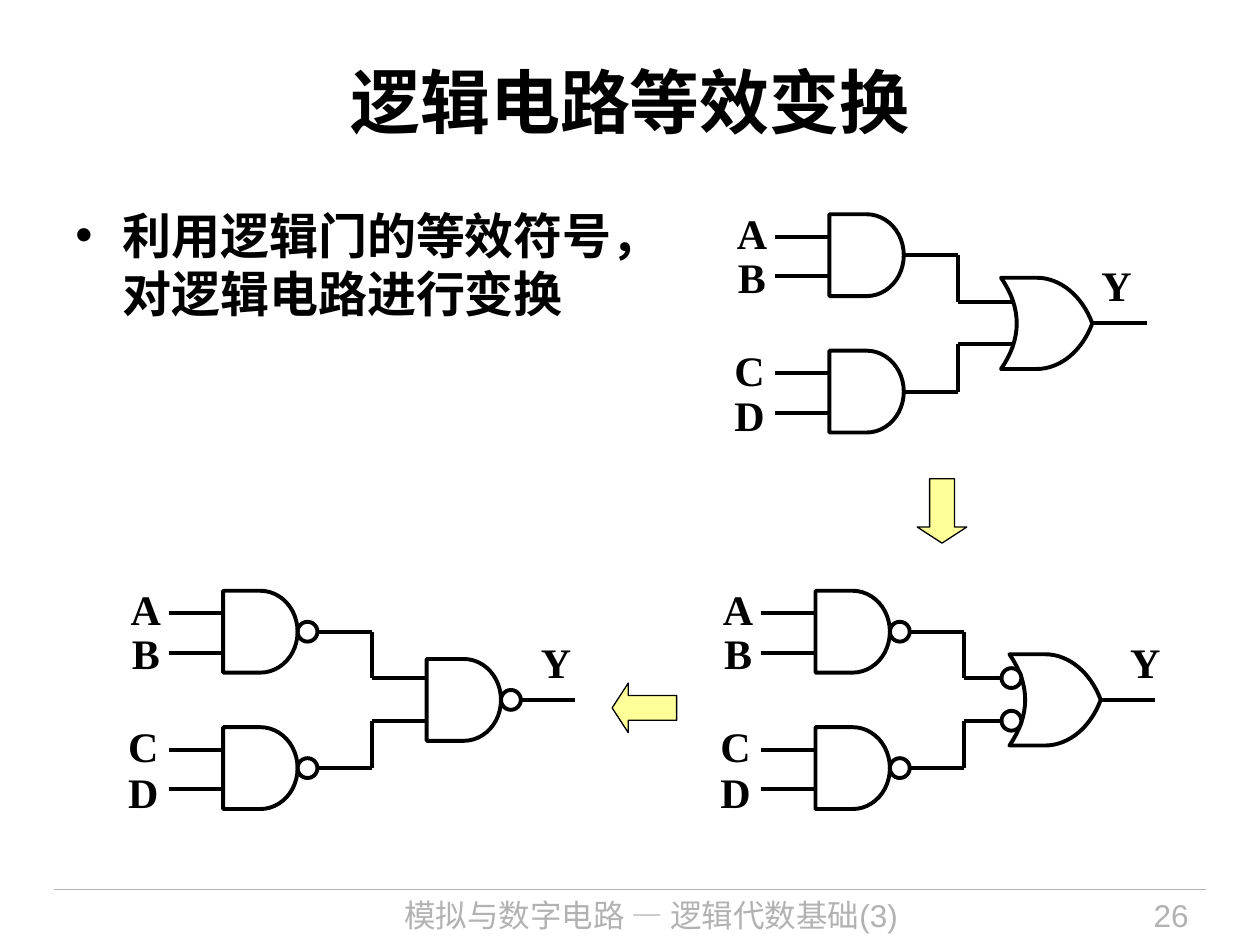
import lxml.etree
import pptx
import pptx.dml.color
import pptx.enum.shapes
import pptx.enum.text
import pptx.oxml.ns
import pptx.util

Cm = pptx.util.Cm
Pt = pptx.util.Pt
MSO = pptx.enum.shapes.MSO_SHAPE
ALIGN = pptx.enum.text.PP_ALIGN
ANCHOR = pptx.enum.text.MSO_ANCHOR

GATE_W, GATE_H = 1.5, 1.65
LEAD = 1.1
BUBBLE = 0.4
PITCH = 2.75
INPUT_YS = (0.45, 1.25)
JOIN_YS = (1.76, 2.62)
OUT_Y = 2.2
LABELS = (("A", -0.84, -0.03), ("B", -0.84, 0.86),
          ("C", -0.89, 2.74), ("D", -0.89, 3.65))
LABEL_FONT = {"name": "Times New Roman", "size": Pt(24), "bold": True}


def rgb(value):
    return pptx.dml.color.RGBColor.from_string(value)


def style(sp, fill=None, line="000000", width=2.25):
    sp.shadow.inherit = False
    if fill:
        sp.fill.solid()
        sp.fill.fore_color.rgb = rgb(fill)
    else:
        sp.fill.background()
    sp.line.color.rgb = rgb(line)
    sp.line.width = Pt(width)


def shape(shapes, kind, x, y, w, h, **look):
    sp = shapes.add_shape(kind, Cm(x), Cm(y), Cm(w), Cm(h))
    style(sp, **look)
    return sp


def wire(shapes, x1, y1, x2, y2, color="000000", width=2.25):
    c = shapes.add_connector(pptx.enum.shapes.MSO_CONNECTOR.STRAIGHT,
                             Cm(x1), Cm(y1), Cm(x2), Cm(y2))
    c.line.color.rgb = rgb(color)
    c.line.width = Pt(width)
    lxml.etree.SubElement(c._element.spPr, pptx.oxml.ns.qn("a:effectLst"))
    return c


def write(p, text, color, font, **para):
    for key, value in para.items():
        setattr(p, key, value)
    r = p.add_run()
    r.text = text
    for key, value in font.items():
        setattr(r.font, key, value)
    r.font.color.rgb = rgb(color)


def text_box(shapes, x, y, w, h, inset=None):
    tf = shapes.add_textbox(Cm(x), Cm(y), Cm(w), Cm(h)).text_frame
    tf.word_wrap = True
    if inset is not None:
        for side in ("left", "top", "right", "bottom"):
            setattr(tf, f"margin_{side}", Cm(inset))
    return tf.paragraphs[0]


def label(shapes, text, x, y):
    p = text_box(shapes, x, y, 0.76, 0.91, inset=0)
    write(p, text, "000000", LABEL_FONT, alignment=ALIGN.CENTER, line_spacing=0.9)


def curve(points, steps=16):
    for i in range(steps + 1):
        t = i / steps
        weights = ((1 - t) ** 3, 3 * t * (1 - t) ** 2, 3 * t * t * (1 - t), t ** 3)
        yield tuple(sum(k * pt[axis] for k, pt in zip(weights, points))
                    for axis in (0, 1))


def or_gate(shapes, x, y, w, h):
    upper = [(0.39, 0), (0.65, 0), (0.89, 0.2), (1, 0.5)]
    lower = [(px, 1 - py) for px, py in reversed(upper)]
    back = [(0, 1), (0.23, 0.67), (0.23, 0.33), (0, 0)]
    outline = [(Cm(x + px * w), Cm(y + py * h))
               for part in (upper, lower, back) for px, py in curve(part)]
    fb = shapes.build_freeform(*outline[0])
    fb.add_line_segments(outline[1:], close=True)
    style(fb.convert_to_shape())


def bubble(shapes, x, y, fill=None):
    shape(shapes, MSO.OVAL, x, y - BUBBLE / 2, BUBBLE, BUBBLE, fill=fill)


def and_gate(shapes, x, y, inverted):
    sp = shape(shapes, MSO.FLOWCHART_DELAY, x, y, GATE_W, GATE_H)
    if inverted:
        bubble(shapes, x + GATE_W, y + GATE_H / 2)
    return sp


def circuit(slide, x, y, inverted, final):
    shapes = slide.shapes.add_group_shape().shapes
    out_x = x + LEAD + GATE_W + (BUBBLE if inverted else 0)
    mid_x = out_x + LEAD
    for row, join_y in enumerate(JOIN_YS):
        top = y + row * PITCH
        gate = and_gate(shapes, x + LEAD, top, inverted)
        for dy in INPUT_YS:
            wire(shapes, x, top + dy, x + LEAD, top + dy)
        gate_y = top + GATE_H / 2
        out = wire(shapes, out_x, gate_y, mid_x, gate_y)
        if not inverted:
            out.begin_connect(gate, 3)
        wire(shapes, mid_x, gate_y, mid_x, y + join_y)
        wire(shapes, mid_x, y + join_y, mid_x + LEAD, y + join_y)

    if final == "nand":
        and_gate(shapes, mid_x + LEAD, y + OUT_Y - GATE_H / 2, True)
        tip, y_shift = mid_x + LEAD + GATE_W + BUBBLE, -0.31
    else:
        left, w, h = mid_x + (0.91 if inverted else 0.86), 1.84, 1.84
        or_gate(shapes, left, y + OUT_Y - h / 2, w, h)
        tip, y_shift = left + w, -0.53 if inverted else -0.94
        if inverted:
            for join_y in JOIN_YS:
                bubble(shapes, left - 0.16, y + join_y, fill="FFFFFF")
    wire(shapes, tip, y + OUT_Y, tip + LEAD, y + OUT_Y)
    for name, dx, dy in LABELS:
        label(shapes, name, x + dx, y + dy)
    label(shapes, "Y", tip + LEAD + y_shift - 0.46 if final == "nand" else tip + LEAD + y_shift - 0.05, y + 1.03)


def arrow(slide, x, y, rotation):
    sp = shape(slide.shapes, MSO.RIGHT_ARROW, x, y, 1.3, 1, fill="FFFF99", width=0.75)
    sp.adjustments[1] = 0.325
    sp.rotation = rotation


def title(slide, x, y, w, h):
    sp = slide.shapes.title
    box = {"left": x, "top": y, "width": w, "height": h}
    for key, value in box.items():
        setattr(sp, key, Cm(value))
    sp.text_frame.vertical_anchor = ANCHOR.MIDDLE
    write(sp.text_frame.paragraphs[0], "逻辑电路等效变换", "000000",
          {"name": "Arial", "size": Pt(40), "bold": True}, alignment=ALIGN.CENTER)


def body(slide, x, y, w, h):
    p = text_box(slide.shapes, x, y, w, h)
    pPr = p._p.get_or_add_pPr()
    pPr.set("marL", str(Cm(0.95)))
    pPr.set("indent", str(-Cm(0.95)))
    for tag, key, value in (("a:buFont", "typeface", "Arial"), ("a:buChar", "char", "•")):
        lxml.etree.SubElement(pPr, pptx.oxml.ns.qn(tag)).set(key, value)
    write(p, "利用逻辑门的等效符号，对逻辑电路进行变换", "000000",
          {"name": "Arial", "size": Pt(28), "bold": True}, space_after=Pt(7))


def footer(slide, x, y, w):
    wire(slide.shapes, x, y, x + w, y, color="B2B2B2", width=0.75)
    font = {"name": "Arial", "size": Pt(18)}
    for text, dx, width, align in (
            ("模拟与数字电路 — 逻辑代数基础(3)", 5.23, 13.61, ALIGN.CENTER),
            ("26", 19.74, 3.38, ALIGN.RIGHT)):
        write(text_box(slide.shapes, x + dx, y, width, 1.12), text, "B2B2B2",
              font, alignment=align)


def main():
    prs = pptx.Presentation()
    prs.slide_width, prs.slide_height = Cm(25.4), Cm(19.05)
    slide = prs.slides.add_slide(prs.slide_layouts[5])
    title(slide, 1.27, 0.43, 22.86, 3.18)
    body(slide, 1.27, 4.01, 11.4, 4.09)
    circuit(slide, 15.62, 4.32, inverted=False, final="or")
    arrow(slide, 18.34, 9.8, 90)
    circuit(slide, 15.34, 11.91, inverted=True, final="or")
    arrow(slide, 12.34, 13.77, 180)
    circuit(slide, 3.4, 11.91, inverted=True, final="nand")
    footer(slide, 1.09, 17.93, 23.22)
    prs.save("out.pptx")


if __name__ == "__main__":
    main()
